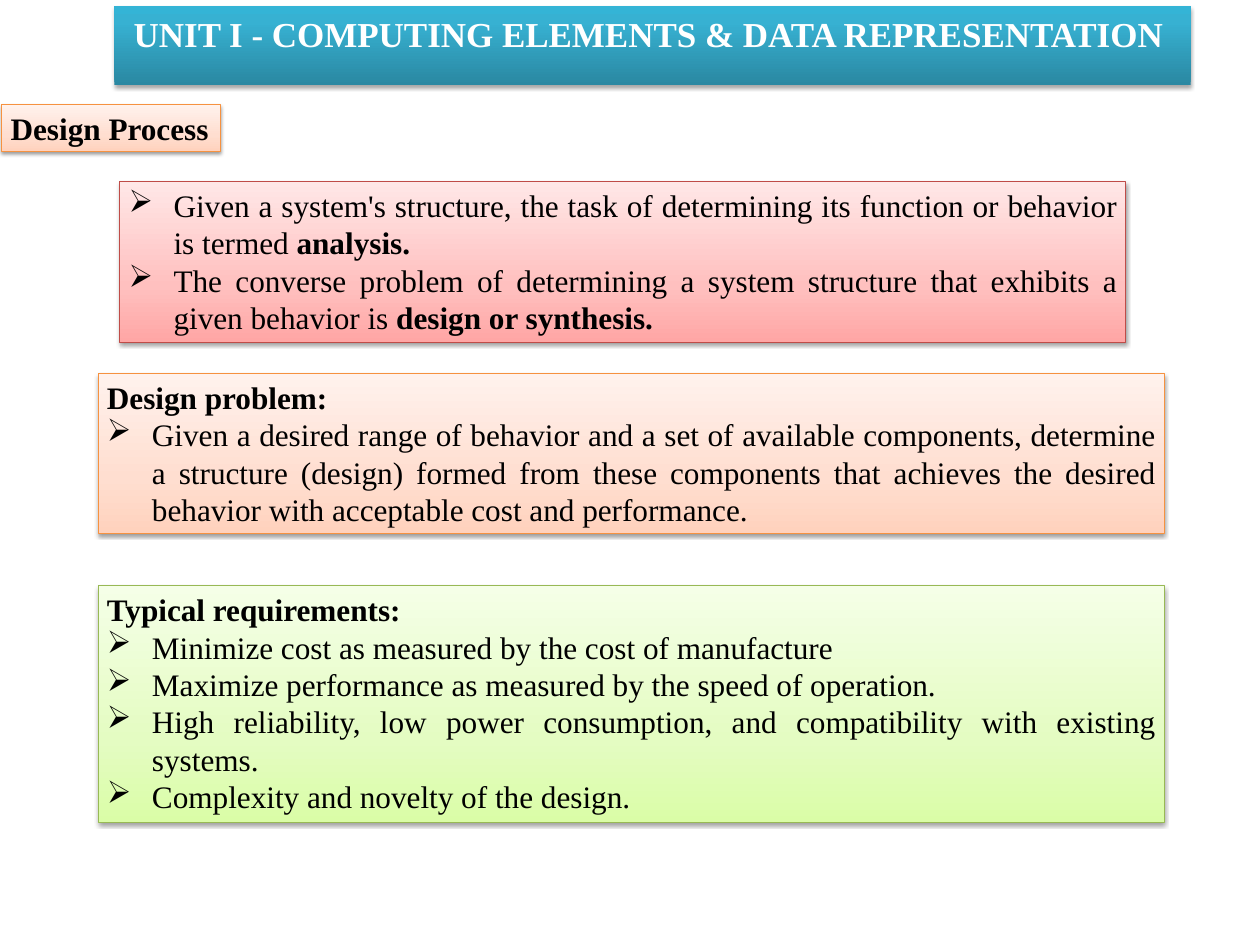
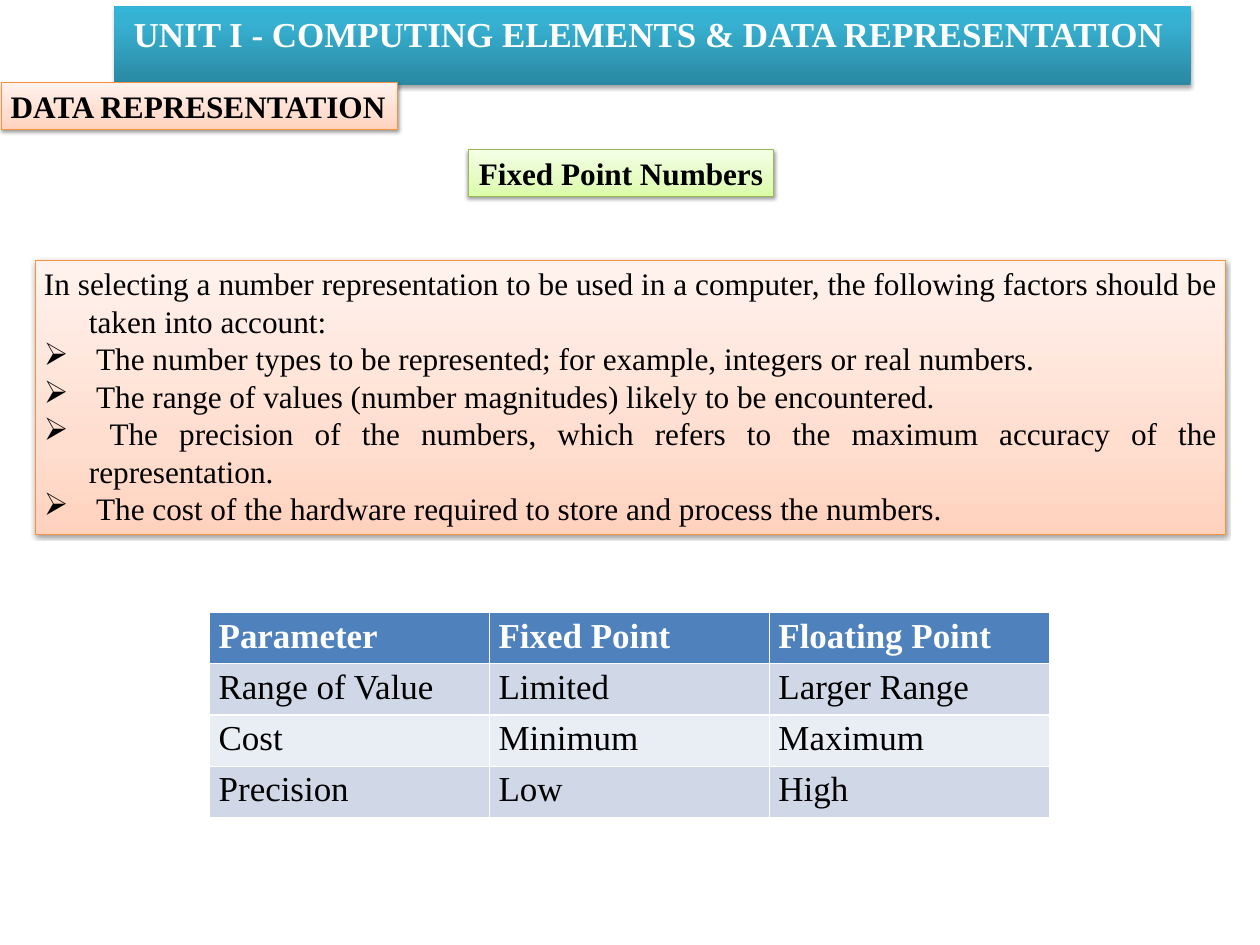
from lxml import etree
from pptx import Presentation
from pptx.dml.color import RGBColor
from pptx.enum.shapes import MSO_SHAPE
from pptx.enum.text import MSO_ANCHOR, MSO_AUTO_SIZE, PP_ALIGN
from pptx.oxml.ns import qn
from pptx.util import Inches, Pt

RECT = MSO_SHAPE.RECTANGLE
TOP = MSO_ANCHOR.TOP
GROW = MSO_AUTO_SIZE.SHAPE_TO_FIT_TEXT
LEFT, MID, JUST = PP_ALIGN.LEFT, PP_ALIGN.CENTER, PP_ALIGN.JUSTIFY

# Grid: 140 columns by 105 rows of equal step
COLS, ROWS = 140, 105
WIDE, HIGH = Inches(14), Inches(10.5)

# Shared style
FONT = "Times New Roman"
BIG, BODY = 28, 25
WHITE, BLACK = "FFFFFF", "000000"
HEAD, BANDS = "4F81BD", ("D0D8E8", "E9EDF4")
UNIT = "UNIT I - COMPUTING ELEMENTS & DATA REPRESENTATION "

# Each tone: gradient stops from bottom to top, then the outline
TEAL = ((0, "2A88A2"), (80, "37B1D2"), (100, "34B4D6")), None
PEACH = ((0, "FFD2BD"), (35, "FFDED0"), (100, "FFF2ED")), "F69240"
ROSE = ((0, "FFA6A5"), (35, "FFC0BF"), (100, "FFE7E7")), "BF4C48"
LIME = ((0, "DAFDA7"), (35, "E4FCC2"), (100, "F5FFE7")), "98B955"


def paint(code):
    return RGBColor.from_string(code)


def node(root, tag, **attrs):
    return etree.SubElement(root, qn(tag), {k: str(v) for k, v in attrs.items()})


class Deck:
    def __init__(self):
        self.prs = Presentation()
        self.prs.slide_width, self.prs.slide_height = WIDE, HIGH
        self.slide = None

    def grid(self, x, y, w, h):
        col, row = WIDE / COLS, HIGH / ROWS
        return [round(n) for n in (x * col, y * row, w * col, h * row)]

    def page(self):
        """Start a slide with the unit banner as its title."""
        self.slide = self.prs.slides.add_slide(self.prs.slide_layouts[5])
        bar = self.slide.shapes.title
        bar.left, bar.top, bar.width, bar.height = self.grid(12.7, 0.7, 119.6, 6.1)
        self.skin(bar, TEAL, alpha=35, dist=1.8)
        frame = self.frame(bar, wrap=False)
        frame.margin_left = frame.margin_right = Inches(0.14)
        frame.margin_top = frame.margin_bottom = Inches(0.07)
        self.line(frame.paragraphs[0], "|" + UNIT, MID, BIG, WHITE)

    def skin(self, shape, tone, alpha=38, dist=1.6):
        """Apply gradient, outline and soft shadow."""
        stops, edge = tone
        shape.fill.gradient()
        shape.fill.gradient_angle = 90
        props = shape._element.spPr
        bag = props.find(qn("a:gradFill")).find(qn("a:gsLst"))
        bag.clear()
        for pos, code in stops:
            node(node(bag, "a:gs", pos=pos * 1000), "a:srgbClr", val=code)
        if edge:
            shape.line.color.rgb = paint(edge)
            shape.line.width = Pt(0.75)
        else:
            shape.line.fill.background()
        shape.shadow.inherit = False
        glow = node(props.find(qn("a:effectLst")), "a:outerShdw", blurRad=Pt(3.1),
                    dist=Pt(dist), dir=90 * 60000, rotWithShape=0)
        node(node(glow, "a:srgbClr", val=BLACK), "a:alpha", val=alpha * 1000)

    def frame(self, shape, wrap):
        frame = shape.text_frame
        frame.word_wrap = wrap
        frame.auto_size = GROW
        frame.vertical_anchor = TOP
        return frame

    def line(self, para, text, align, size=BODY, color=BLACK, hang=False, dot=False):
        """Fill a paragraph; each bar in the text toggles bold."""
        para.alignment = align
        props = para._p.get_or_add_pPr()
        if hang:
            props.set("marL", str(Inches(0.5)))
            props.set("indent", str(-Inches(0.5)))
        if dot:
            node(props, "a:buChar", char="➢")
        font = para.font
        font.name, font.size, font.color.rgb = FONT, Pt(size), paint(color)
        parts = text.split("|")
        if len(parts) == 1 or not parts[0]:
            font.bold = len(parts) > 1
        for i, part in enumerate(parts):
            if part:
                run = para.add_run()
                run.text = part
                run.font.bold = i % 2 == 1

    def box(self, spot, tone):
        shape = self.slide.shapes.add_shape(RECT, *self.grid(*spot))
        self.skin(shape, tone)
        return shape

    def tag(self, spot, tone, text, align=LEFT):
        """Short bold label on one line."""
        frame = self.frame(self.box(spot, tone), wrap=False)
        self.line(frame.paragraphs[0], "|" + text, align, hang=align == LEFT)

    def panel(self, spot, tone, items, lead=None):
        """Bulleted text with an optional plain first line."""
        frame = self.frame(self.box(spot, tone), wrap=True)
        lines = ([(lead, False)] if lead else []) + [(t, True) for t in items]
        for i, (text, dot) in enumerate(lines):
            para = frame.add_paragraph() if i else frame.paragraphs[0]
            self.line(para, text, JUST, hang=True, dot=dot)

    def table(self, spot, rows):
        place = self.grid(*spot)
        grid = self.slide.shapes.add_table(len(rows), len(rows[0]), *place).table
        for r, row in enumerate(rows):
            for c, text in enumerate(row):
                cell = grid.cell(r, c)
                cell.fill.solid()
                cell.fill.fore_color.rgb = paint(BANDS[(r - 1) % 2] if r else HEAD)
                para = cell.text_frame.paragraphs[0]
                if r:
                    self.line(para, text, LEFT, BIG)
                else:
                    self.line(para, "|" + text, LEFT, BIG, WHITE)


def design(deck):
    deck.page()
    deck.tag((0.2, 11.6, 24.3, 5.2), PEACH, "Design Process")
    deck.panel((13.3, 20.2, 111.8, 17.8), ROSE, [
        "Given a system's structure, the task of determining its function "
        "or behavior is termed |analysis. ",
        "The converse problem of determining a system structure that "
        "exhibits a given behavior is |design or synthesis.",
    ])
    deck.panel((10.9, 41.5, 118.5, 17.8), PEACH, [
        "Given a desired range of behavior and a set of available components, "
        "determine a structure (design) formed from these components that "
        "achieves the desired behavior with acceptable cost and performance.",
    ], lead="|Design problem:")
    deck.panel((10.9, 65.1, 118.5, 26.3), LIME, [
        "Minimize cost as measured by the cost of manufacture",
        "Maximize performance as measured by the speed of operation.",
        "High reliability, low power consumption, and compatibility with "
        "existing systems.",
        "Complexity and novelty of the design.",
    ], lead="|Typical requirements:")


def numbers(deck):
    deck.page()
    deck.tag((0.2, 9.2, 44, 5.2), PEACH, "DATA REPRESENTATION")
    deck.tag((52, 16.6, 34, 5.2), LIME, "Fixed Point Numbers", MID)
    deck.panel((3.9, 28.9, 132.3, 30.5), PEACH, [
        " The number types to be represented; for example, integers or real numbers.",
        " The range of values (number magnitudes) likely to be encountered.",
        " The precision of the numbers, which refers to the maximum accuracy "
        "of the representation.",
        " The cost of the hardware required to store and process the numbers.",
    ], lead="In selecting a number representation to be used in a computer, "
            "the following factors should be taken into account:")
    deck.table((23.3, 68.1, 93.3, 22.7), [
        ("Parameter", "Fixed Point", "Floating Point"),
        ("Range of Value", "Limited", "Larger Range"),
        ("Cost", "Minimum", "Maximum"),
        ("Precision", "Low", "High"),
    ])


def main():
    deck = Deck()
    design(deck)
    numbers(deck)
    deck.prs.save("out.pptx")


if __name__ == "__main__":
    main()
